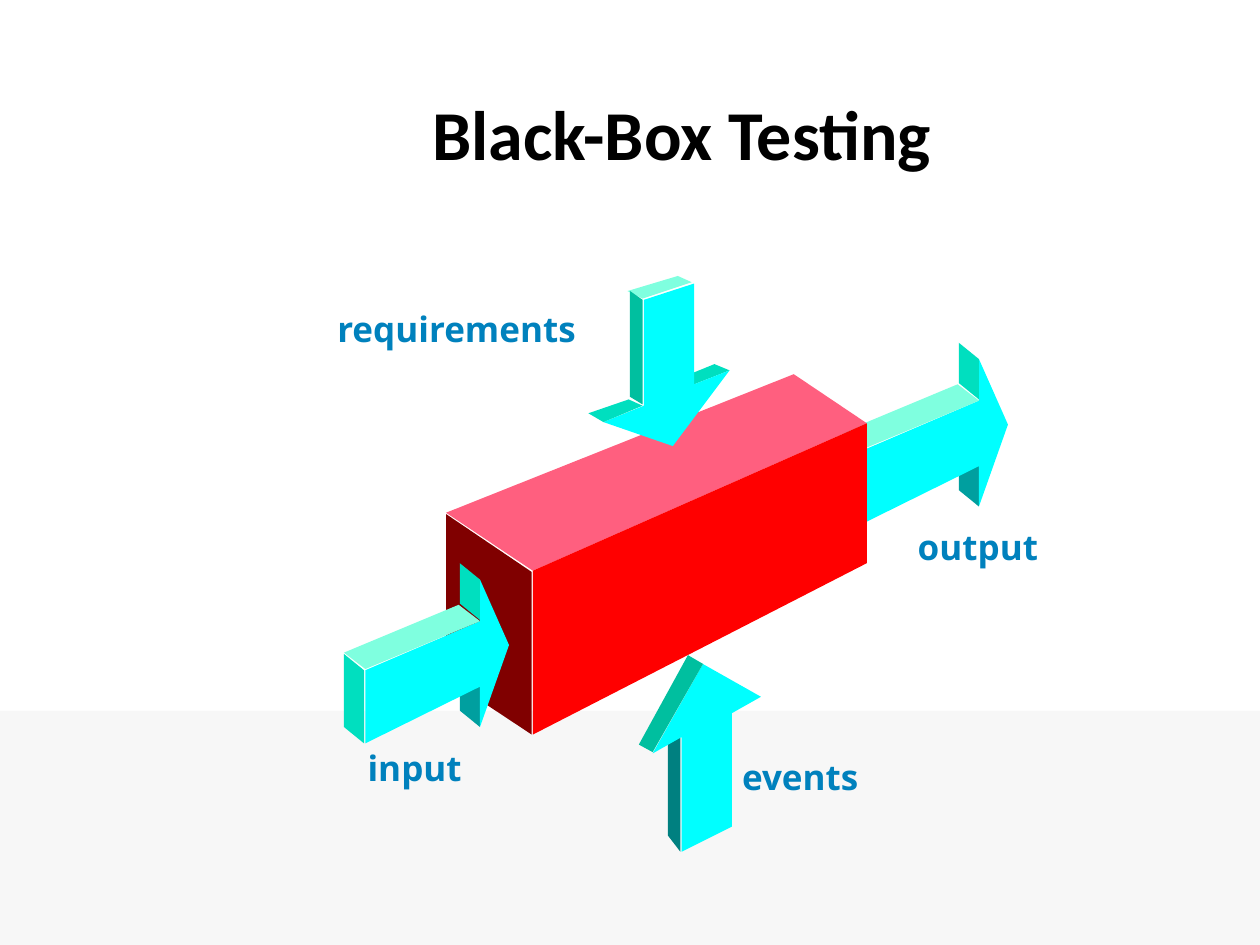
from dataclasses import dataclass

from pptx import Presentation
from pptx.dml.color import RGBColor
from pptx.enum.shapes import MSO_SHAPE
from pptx.enum.text import MSO_ANCHOR, MSO_AUTO_SIZE, PP_ALIGN
from pptx.util import Cm, Pt

RECT = MSO_SHAPE.RECTANGLE
LEFT = PP_ALIGN.LEFT
TOP = MSO_ANCHOR.TOP
FIT = MSO_AUTO_SIZE.SHAPE_TO_FIT_TEXT
TITLE_ONLY = 5
GRID = Cm(2.54) / 100


@dataclass(frozen=True)
class Theme:
    title_font: str = "Calibri"
    label_font: str = "Open Sans"
    title_size: int = 40
    label_size: int = 20
    black: str = "000000"
    label: str = "0081BD"
    band: str = "F7F7F7"
    cyan: str = "00FFFF"
    mint: str = "7FFFDF"
    jade: str = "00DFBF"
    green: str = "00BF9F"
    teal: str = "009F9F"
    dark_teal: str = "008080"
    red: str = "FF0000"
    pink: str = "FF5F7F"
    maroon: str = "800000"


T = Theme()

SIDE_ARROW = [
    (T.teal, [(381, 577), (381, 545), (365, 532), (365, 564)]),
    (T.cyan, [(381, 493), (290, 532), (290, 590), (381, 545), (381, 577),
              (404, 512), (381, 460)]),
    (T.jade, [(289, 532), (289, 590), (273, 577), (273, 519)]),
    (T.mint, [(273, 518), (290, 531), (381, 493), (364, 480)]),
    (T.jade, [(381, 460), (365, 447), (365, 479), (381, 492)]),
]
EVENTS_ARROW = [
    (T.dark_teal, [(540, 676), (540, 586), (530, 579), (530, 663)]),
    (T.cyan, [(558, 527), (604, 553), (581, 566), (581, 656), (541, 676),
              (541, 585), (518, 598)]),
    (T.green, [(518, 597), (507, 591), (546, 520), (558, 527)]),
]
BOX = [
    (T.maroon, [(354, 408), (422, 454), (422, 583), (354, 538)]),
    (T.pink, [(354, 407), (423, 453), (688, 336), (630, 297)]),
    (T.red, [(423, 453), (423, 583), (688, 447), (688, 336)]),
]
REQUIREMENTS_ARROW = [
    (T.mint, [(498, 231), (510, 237), (549, 224), (538, 219)]),
    (T.jade, [(551, 305), (579, 294), (567, 289), (540, 300)]),
    (T.cyan, [(511, 238), (551, 225), (551, 305), (579, 294), (534, 354),
              (479, 335), (511, 322)]),
    (T.jade, [(479, 335), (467, 328), (499, 317), (510, 322)]),
    (T.green, [(500, 315), (510, 321), (510, 238), (500, 231)]),
]
SOLIDS = [
    (SIDE_ARROW, 396, -175),
    (EVENTS_ARROW, 0, 0),
    (BOX, 0, 0),
    (REQUIREMENTS_ARROW, 0, 0),
    (SIDE_ARROW, 0, 0),
]
LABELS = [
    ("requirements", 6.55, 6.07, 5.35),
    ("events", 14.71, 15.11, 2.9),
    ("input", 7.16, 14.92, 2.45),
    ("output", 18.25, 10.46, 3),
]


def paint(sp, color):
    sp.fill.solid()
    sp.fill.fore_color.rgb = RGBColor.from_string(color)
    sp.line.fill.background()
    sp.shadow.inherit = False


def write(tf, text, *, font, size, color, wrap):
    tf.word_wrap = wrap
    tf.auto_size = FIT
    tf.vertical_anchor = TOP
    p = tf.paragraphs[0]
    p.alignment = LEFT
    r = p.add_run()
    r.text = text
    r.font.name = font
    r.font.size = Pt(size)
    r.font.bold = True
    r.font.color.rgb = RGBColor.from_string(color)


def add_title(s, text):
    sp = s.shapes.title
    sp.left, sp.top, sp.width, sp.height = Cm(8.46), Cm(1.7), Cm(15.44), Cm(1.96)
    write(sp.text_frame, text, font=T.title_font, size=T.title_size,
          color=T.black, wrap=True)


def add_band(s):
    sp = s.shapes.add_shape(RECT, 0, Cm(14.33), Cm(25.4), Cm(4.72))
    paint(sp, T.band)


def add_solid(s, faces, dx, dy):
    group = s.shapes.add_group_shape()
    for color, points in faces:
        start, *rest = [(x + dx, y + dy) for x, y in points]
        outline = group.shapes.build_freeform(*start, scale=GRID)
        outline.add_line_segments(rest, close=True)
        paint(outline.convert_to_shape(), color)


def add_label(s, text, left, top, width):
    sp = s.shapes.add_textbox(Cm(left), Cm(top), Cm(width), Cm(1.09))
    write(sp.text_frame, text, font=T.label_font, size=T.label_size,
          color=T.label, wrap=False)


def main():
    prs = Presentation()
    prs.slide_width, prs.slide_height = Cm(25.4), Cm(19.05)
    s = prs.slides.add_slide(prs.slide_layouts[TITLE_ONLY])
    add_band(s)
    add_title(s, "Black-Box Testing")
    for faces, dx, dy in SOLIDS:
        add_solid(s, faces, dx, dy)
    for label in LABELS:
        add_label(s, *label)
    prs.save("out.pptx")


if __name__ == "__main__":
    main()
